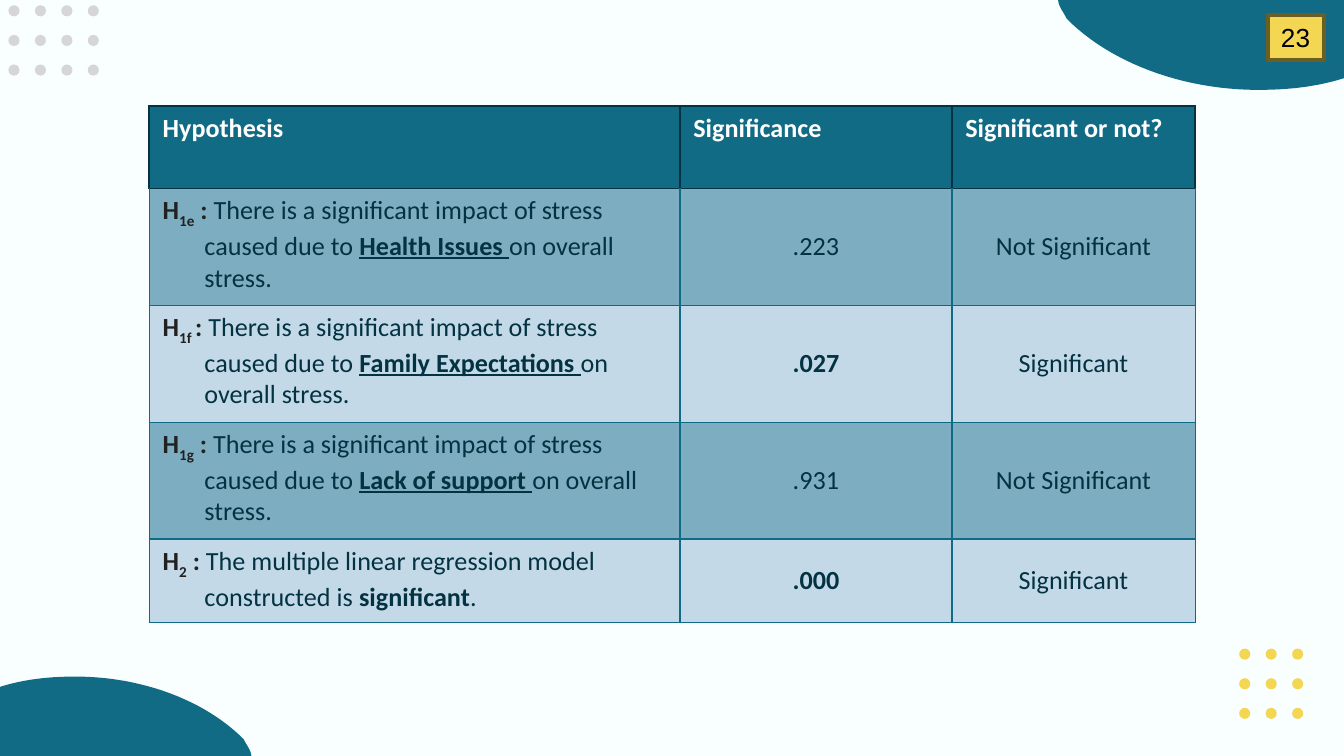
from lxml.etree import SubElement
from pptx import Presentation
from pptx.dml.color import RGBColor
from pptx.enum.shapes import MSO_SHAPE
from pptx.enum.text import MSO_ANCHOR, PP_ALIGN
from pptx.oxml.ns import qn
from pptx.util import Cm, Pt

TEAL, INK, EDGE, YELLOW = "126B85", "033242", "0F6A85", "F3D652"
BANDS = ["7DADC0", "C4D9E7"]
IMPACT = "There is a significant impact of stress caused due to "
MODEL = "The multiple linear regression model constructed is "
HEADINGS = ["Hypothesis", "Significance", "Significant or not?"]
ROWS = [
    ("1e", " : ", IMPACT, "Health Issues ", "on overall stress.", ".223", "Not Significant"),
    ("1f ", ": ", IMPACT, "Family Expectations ", "on overall stress.", ".027", "Significant"),
    ("1g", " : ", IMPACT, "Lack of support ", "on overall stress.", ".931", "Not Significant"),
    ("2", " : ", MODEL, "significant", ".", ".000", "Significant"),
]


def rgb(value):
    return RGBColor.from_string(value)


def paint(sp, fill):
    sp.shadow.inherit = False
    sp.fill.solid()
    sp.fill.fore_color.rgb = rgb(fill)
    sp.line.fill.background()


def add_run(p, text, color=INK, baseline=None, **formats):
    r = p.add_run()
    r.text = text
    for name, value in {"size": Pt(14), "name": "Calibri", "bold": False, **formats}.items():
        setattr(r.font, name, value)
    r.font.color.rgb = rgb(color)
    if baseline:
        r.font._element.set("baseline", str(baseline))


def bezier(p0, p1, p2, p3, steps=24):
    for i in range(1, steps + 1):
        t = i / steps
        u = 1 - t
        yield tuple(u**3 * a + 3 * u * u * t * b + 3 * u * t * t * c + t**3 * d
                    for a, b, c, d in zip(p0, p1, p2, p3))


def add_wave(s, x, y, w, h, turned=False):
    top, left, bend, corner = (0.3, 0), (0, 0.13), (0.97, 0.79), (1, 1)
    outline = [top, *bezier(top, (0.2, 0), (0.1, 0.03), left), (0, 1), corner,
               *bezier(corner, (1, 0.93), (0.98, 0.86), bend),
               *bezier(bend, (0.82, 0.31), (0.57, 0), top)]
    if turned:
        outline = [(1 - a, 1 - b) for a, b in outline]
    points = [(Cm(x + a * w), Cm(y + b * h)) for a, b in outline]
    builder = s.shapes.build_freeform(*points[0])
    builder.add_line_segments(points[1:], close=True)
    paint(builder.convert_to_shape(), TEAL)


def add_dots(s, x, y, cols, rows, color):
    for col in range(cols):
        for row in range(rows):
            sp = s.shapes.add_shape(MSO_SHAPE.OVAL, Cm(x + col * 0.5), Cm(y + row * 0.56),
                                    Cm(0.21), Cm(0.21))
            paint(sp, color)


def style_cell(cell, fill, borders):
    tcPr = cell._tc.get_or_add_tcPr()
    for side, (color, width) in zip(("lnL", "lnR", "lnT", "lnB"), borders):
        ln = SubElement(tcPr, qn(f"a:{side}"), w=str(Pt(width)))
        SubElement(SubElement(ln, qn("a:solidFill")), qn("a:srgbClr"), val=color)
    cell.fill.solid()
    cell.fill.fore_color.rgb = rgb(fill)


def fill_hypothesis(cell, index, colon, statement, factor, ending):
    p = cell.text_frame.paragraphs[0]
    pPr = p._p.get_or_add_pPr()
    pPr.set("marL", str(Cm(0.79)))
    pPr.set("indent", str(Cm(-0.79)))
    add_run(p, "H", "212121", bold=True)
    add_run(p, index, "212121", -25000, bold=True)
    add_run(p, colon, "212121", bold=True)
    add_run(p, statement)
    add_run(p, factor, bold=True, underline=statement == IMPACT)
    add_run(p, ending)


def fill_centered(cell, text, bold=False):
    cell.vertical_anchor = MSO_ANCHOR.MIDDLE
    p = cell.text_frame.paragraphs[0]
    p.alignment = PP_ALIGN.CENTER
    add_run(p, text, bold=bold)


def add_results(s, x, y, widths, heights):
    frame = s.shapes.add_table(len(heights), len(widths), Cm(x), Cm(y),
                               Cm(sum(widths)), Cm(sum(heights)))
    table = frame.table
    table.first_row = table.horz_banding = False
    for column, width in zip(table.columns, widths):
        column.width = Cm(width)
    for row, height in zip(table.rows, heights):
        row.height = Cm(height)
    dark, thin = (INK, 1), (EDGE, 0.75)
    for col, heading in enumerate(HEADINGS):
        cell = table.cell(0, col)
        style_cell(cell, TEAL, [dark] * 4)
        add_run(cell.text_frame.paragraphs[0], heading, "FFFFFF", bold=True)
    for i, (*hypothesis, value, verdict) in enumerate(ROWS):
        cells = [table.cell(i + 1, col) for col in range(len(widths))]
        for cell in cells:
            style_cell(cell, BANDS[i % 2], [thin, thin, thin if i else dark, thin])
        fill_hypothesis(cells[0], *hypothesis)
        fill_centered(cells[1], value, bold=verdict == "Significant")
        for side in ("left", "right", "top", "bottom"):
            setattr(cells[1], f"margin_{side}", Cm(0.02))
        fill_centered(cells[2], verdict)


def add_page_number(s, x, y, w, h, number):
    sp = s.shapes.add_shape(MSO_SHAPE.RECTANGLE, Cm(x), Cm(y), Cm(w), Cm(h))
    paint(sp, YELLOW)
    sp.line.color.rgb = rgb("6B5E24")
    sp.line.width = Pt(2)
    tf = sp.text_frame
    tf.word_wrap = True
    tf.vertical_anchor = MSO_ANCHOR.MIDDLE
    p = tf.paragraphs[0]
    p.alignment = PP_ALIGN.LEFT
    add_run(p, number, "000000", name="Arial")


def main():
    prs = Presentation()
    prs.slide_width, prs.slide_height = Cm(25.4), Cm(14.29)
    s = prs.slides.add_slide(prs.slide_layouts[6])
    s.background.fill.solid()
    s.background.fill.fore_color.rgb = rgb("F9FEFF")
    add_wave(s, 0, 12.79, 4.75, 1.5)
    add_dots(s, 0.16, 0.1, 4, 3, "D6D6D6")
    add_wave(s, 20, 0, 5.4, 1.7, turned=True)
    add_dots(s, 23.42, 12.26, 3, 3, YELLOW)
    add_results(s, 2.82, 2, [10.03, 5.14, 4.6], [1.56, 2.21, 2.21, 2.21, 1.57])
    add_page_number(s, 23.96, 0.28, 1.07, 0.86, "23")
    prs.save("out.pptx")


if __name__ == "__main__":
    main()
